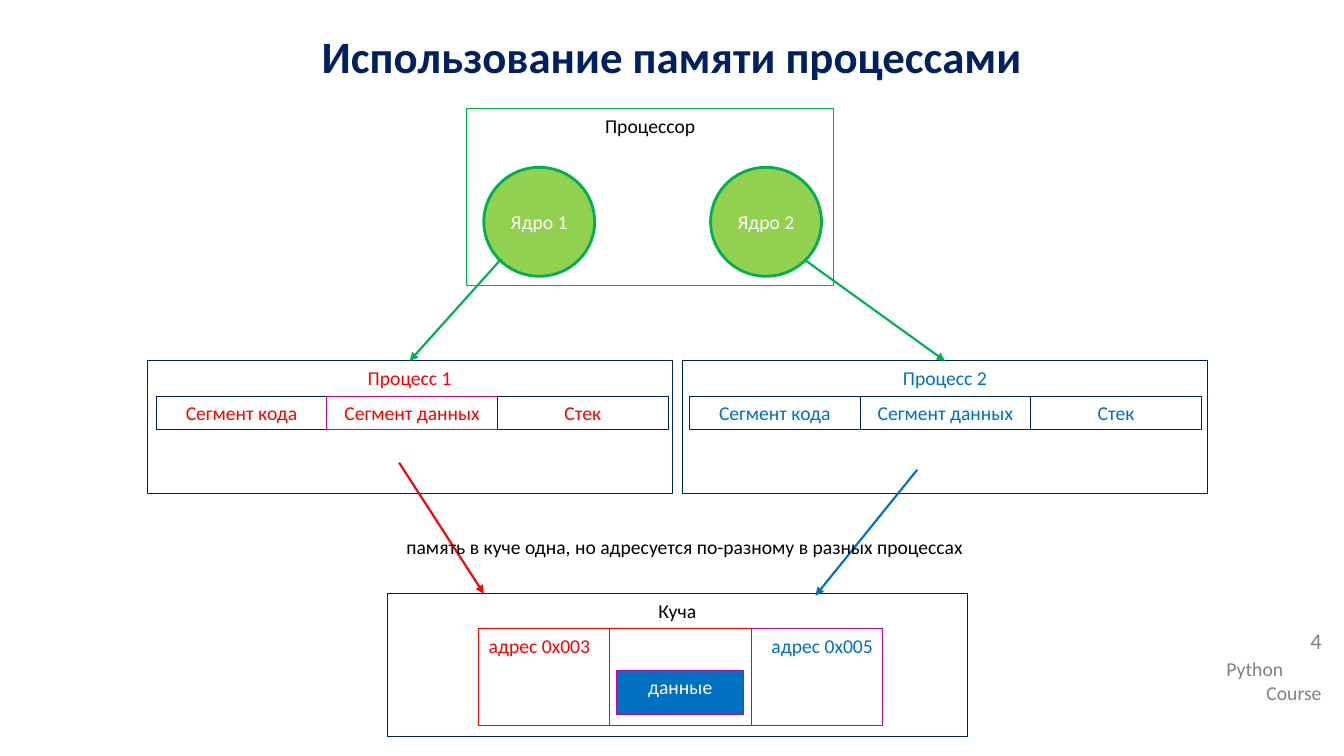
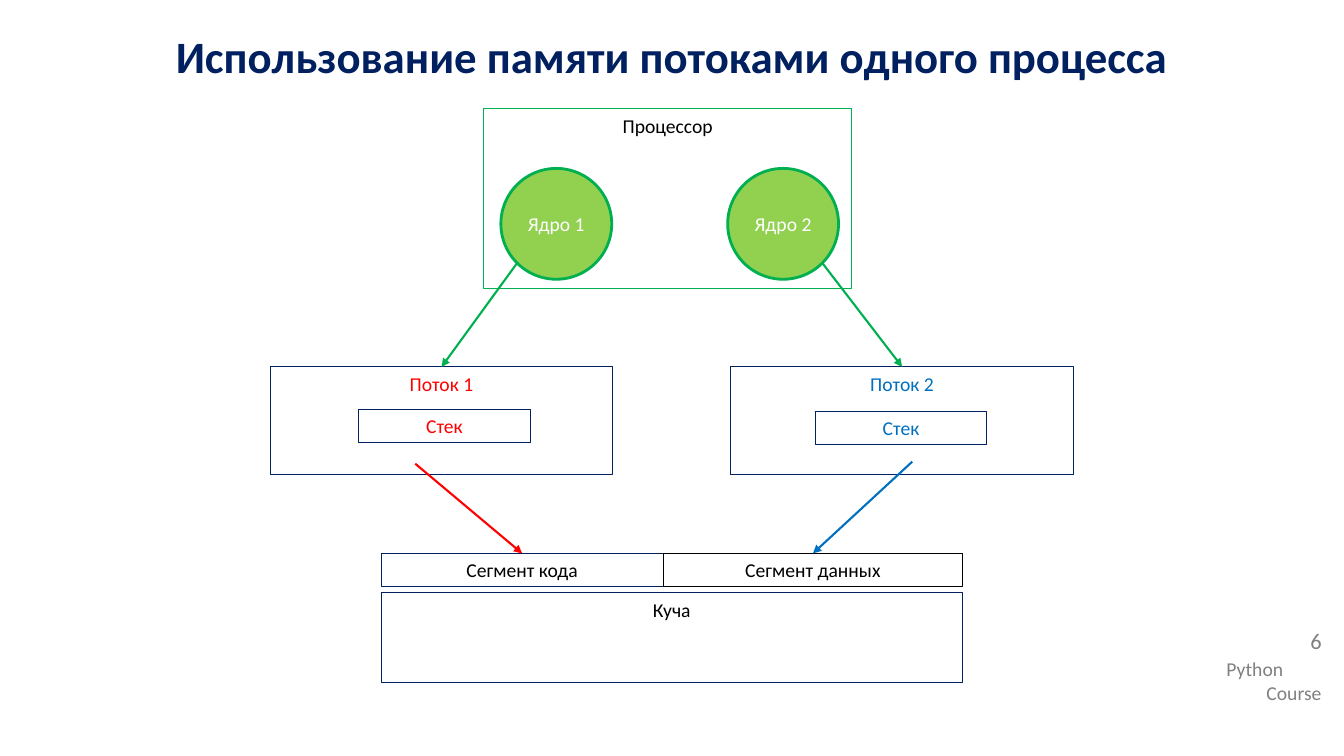
import math

from lxml import etree
from pptx import Presentation
from pptx.dml.color import RGBColor
from pptx.enum.shapes import MSO_CONNECTOR, MSO_SHAPE
from pptx.enum.text import MSO_ANCHOR, MSO_AUTO_SIZE, PP_ALIGN
from pptx.oxml.ns import qn
from pptx.util import Pt

RECTANGLE, OVAL = MSO_SHAPE.RECTANGLE, MSO_SHAPE.OVAL
STRAIGHT = MSO_CONNECTOR.STRAIGHT
LEFT, CENTER, RIGHT = PP_ALIGN.LEFT, PP_ALIGN.CENTER, PP_ALIGN.RIGHT
TOP, MIDDLE = MSO_ANCHOR.TOP, MSO_ANCHOR.MIDDLE
NO_AUTOFIT = MSO_AUTO_SIZE.NONE
TITLE_ONLY_LAYOUT = 5
TOP_SIDE = 0

FONT = "Calibri"
BODY_SIZE = 14
COLORS = {
    "navy": "002060",
    "red": "FF0000",
    "blue": "0070C0",
    "green": "00B050",
    "light_green": "92D050",
    "purple": "B40AA0",
    "gray": "808080",
    "black": "000000",
    "white": "FFFFFF",
}
SLIDE_WIDTH, SLIDE_HEIGHT = 960, 540
LABEL_HEIGHT = 23.8
CORE_WIDTH, CORE_PITCH = 79.2, 162
CORE_SIDE_GAP, CORE_BOTTOM_GAP = 12.2, 6.5


def rgb(color):
    return RGBColor.from_string(COLORS[color])


def format_paragraph(paragraph, color, size=BODY_SIZE, align=CENTER, bold=False):
    paragraph.alignment = align
    for run in paragraph.runs:
        run.font.name = FONT
        run.font.size = Pt(size)
        run.font.bold = bold
        run.font.color.rgb = rgb(color)


def add_box(slide, text, left, top, width, height, color="black", line="navy",
            fill=None, align=CENTER, kind=RECTANGLE, line_width=0, anchor=TOP):
    """Add an outlined preset shape; a line width of 0 is a hairline."""
    shape = slide.shapes.add_shape(kind, Pt(left), Pt(top), Pt(width), Pt(height))
    shape.shadow.inherit = False
    if fill:
        shape.fill.solid()
        shape.fill.fore_color.rgb = rgb(fill)
    else:
        shape.fill.background()
    shape.line.color.rgb = rgb(line)
    shape.line.width = Pt(line_width)
    shape.text_frame.text = text
    shape.text_frame.vertical_anchor = anchor
    format_paragraph(shape.text_frame.paragraphs[0], color, align=align)
    return shape


def add_text(slide, lines, left, top, width, height, color, size=BODY_SIZE):
    """Add a text box from (text, alignment) pairs and return its paragraphs."""
    text_frame = slide.shapes.add_textbox(
        Pt(left), Pt(top), Pt(width), Pt(height)).text_frame
    text_frame.word_wrap = True
    text_frame.text = "\n".join(text for text, _ in lines)
    for paragraph, (_, align) in zip(text_frame.paragraphs, lines):
        format_paragraph(paragraph, color, size, align)
    return text_frame.paragraphs


def add_arrow(slide, start, end, color, target=None):
    """Draw an arrow, joined to the top middle of the target if there is one."""
    connector = slide.shapes.add_connector(
        STRAIGHT, *(Pt(value) for value in (*start, *end)))
    connector.line.color.rgb = rgb(color)
    connector.line.width = Pt(1.5)
    properties = connector.element.spPr
    etree.SubElement(properties.find(qn("a:ln")), qn("a:tailEnd"), type="triangle")
    etree.SubElement(properties, qn("a:effectLst"))
    if target is not None:
        connector.end_connect(target, TOP_SIDE)


def arrow_to_top(slide, start, target, color):
    end = ((target.left + target.width / 2) / Pt(1), target.top / Pt(1))
    add_arrow(slide, start, end, color, target)


def add_processor(slide, left, width, height, core_height, targets):
    """Draw two cores in a frame, each with an arrow to its target."""
    top = 77.8
    add_box(slide, "Процессор", left, top, width, height, line="green")
    core_top = top + height - CORE_BOTTOM_GAP - core_height
    for index, (target, side) in enumerate(zip(targets, (-1, 1))):
        core_left = left + CORE_SIDE_GAP + index * CORE_PITCH
        add_box(slide, f"Ядро {index + 1}", core_left, core_top, CORE_WIDTH,
                core_height, "white", "green", "light_green", kind=OVAL,
                line_width=2, anchor=MIDDLE)
        diagonal = math.cos(math.pi / 4)
        start = (core_left + CORE_WIDTH / 2 * (1 + side * diagonal),
                 core_top + core_height / 2 * (1 + diagonal))
        arrow_to_top(slide, start, target, "green")


def add_process(slide, name, left, segments_left, color, data_line):
    process = add_box(slide, name, left, 257.8, 375.1, 95, color)
    segments = (("Сегмент кода", "navy"), ("Сегмент данных", data_line),
                ("Стек", "navy"))
    width = 121.9
    for index, (text, line) in enumerate(segments):
        add_box(slide, text, segments_left + index * width, 283, width,
                LABEL_HEIGHT, color, line)
    return process


def add_thread(slide, name, left, stack_left, stack_top, color):
    thread = add_box(slide, name, left, 262.1, 244.8, 77, color)
    add_box(slide, "Стек", stack_left, stack_top, 122.4, LABEL_HEIGHT, color)
    return thread


def add_slide(presentation, title_text, number):
    """Add a slide with the shared title, number and course footer."""
    slide = presentation.slides.add_slide(
        presentation.slide_layouts[TITLE_ONLY_LAYOUT])
    title = slide.shapes.title
    title.left, title.top = Pt(0), Pt(16.6)
    title.width, title.height = Pt(SLIDE_WIDTH), Pt(54.7)
    title.text_frame.text = title_text
    title.text_frame.auto_size = NO_AUTOFIT
    title.text_frame.vertical_anchor = TOP
    paragraph = title.text_frame.paragraphs[0]
    paragraph.space_before = paragraph.space_after = Pt(5)
    format_paragraph(paragraph, "navy", 32, bold=True)

    add_text(slide, [("Python", LEFT), ("Course", RIGHT)],
             869, 465.8, 82.1, 40.3, "gray")
    number_paragraph = add_text(slide, [(number, RIGHT)],
                                869, 446.4, 82.1, 32.4, "gray", 16)[0]
    number_paragraph.line_spacing = 0.9
    number_paragraph.space_before = Pt(10)
    return slide


def build_processes_slide(presentation):
    slide = add_slide(presentation, "Использование памяти процессами", "4")
    processes = [
        add_process(slide, "Процесс 1", 105.1, 111.6, "red", "purple"),
        add_process(slide, "Процесс 2", 487.4, 492.5, "blue", "navy"),
    ]
    add_box(slide, "Куча", 276.5, 424.1, 414.7, 102.2)
    add_processor(slide, 333.4, 262.1, 126, 77.8, processes)
    add_arrow(slide, (285.1, 330.5), (345.6, 424.1), "red")
    add_arrow(slide, (655.2, 335.5), (582.5, 425.5), "blue")
    add_box(slide, "данные", 440.6, 478.8, 90.7, 31.7, "white", "purple", "blue")
    add_box(slide, "адрес 0x005", 435.6, 449.3, 195.1, 69.1, "blue", "purple",
            align=RIGHT)
    add_box(slide, "адрес 0x003", 342, 449.3, 195.1, 69.1, "red", "red",
            align=LEFT)
    caption = "память в куче одна, но адресуется по-разному в разных процессах"
    add_text(slide, [(caption, CENTER)], 260.6, 378.7, 457.2, LABEL_HEIGHT, "black")


def build_threads_slide(presentation):
    slide = add_slide(
        presentation, "Использование памяти потоками одного процесса", "6")
    threads = [
        add_thread(slide, "Поток 1", 193, 256.3, 292.3, "red"),
        add_thread(slide, "Поток 2", 522, 582.5, 293.8, "blue"),
    ]
    heap_left, code_width, data_width = 272.2, 201.6, 213.8
    code = add_box(slide, "Сегмент кода", heap_left, 395.3, code_width,
                   LABEL_HEIGHT)
    data = add_box(slide, "Сегмент данных", heap_left + code_width, 395.3,
                   data_width, LABEL_HEIGHT, line="black")
    add_box(slide, "Куча", heap_left, 423.4, code_width + data_width, 64.1)
    add_processor(slide, 345.6, 262.8, 128.2, 79.2, threads)
    arrow_to_top(slide, (296.6, 331.2), code, "red")
    arrow_to_top(slide, (651.6, 329.8), data, "blue")


def main():
    presentation = Presentation()
    presentation.slide_width = Pt(SLIDE_WIDTH)
    presentation.slide_height = Pt(SLIDE_HEIGHT)
    build_processes_slide(presentation)
    build_threads_slide(presentation)
    presentation.save("out.pptx")


if __name__ == "__main__":
    main()
